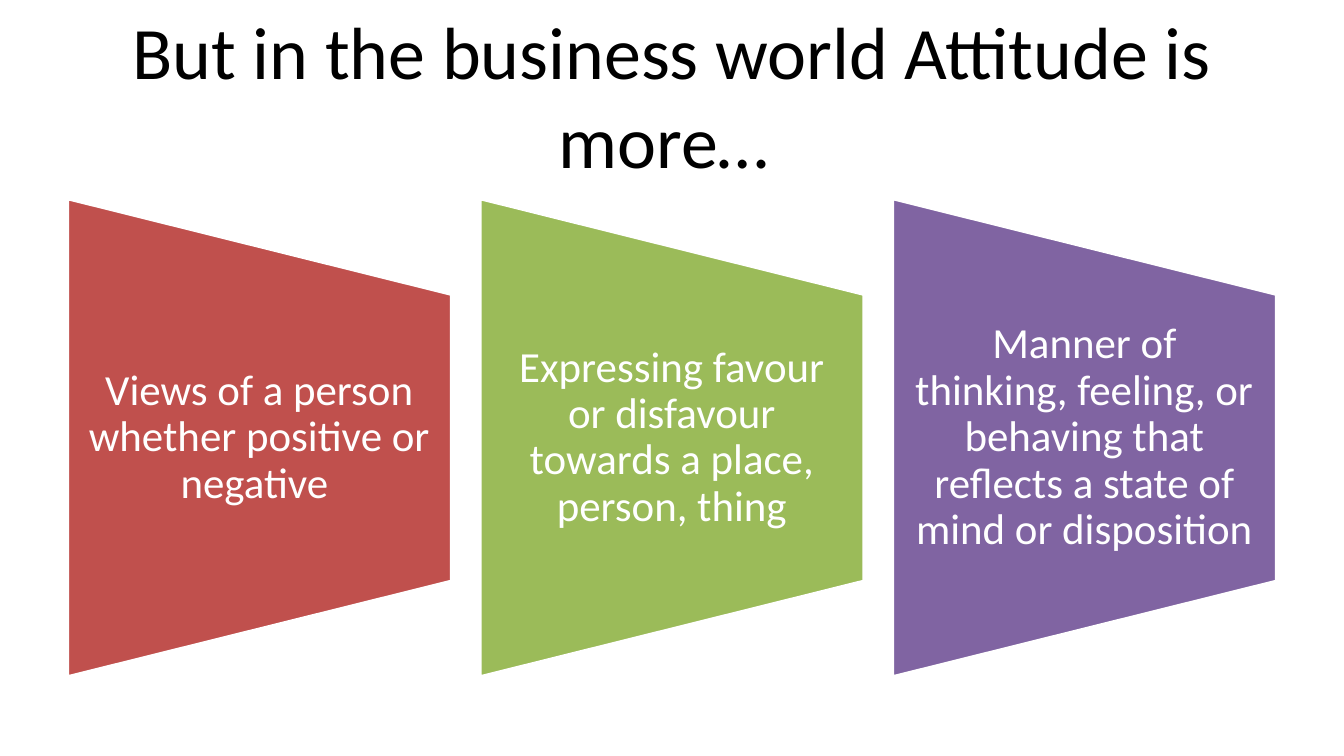
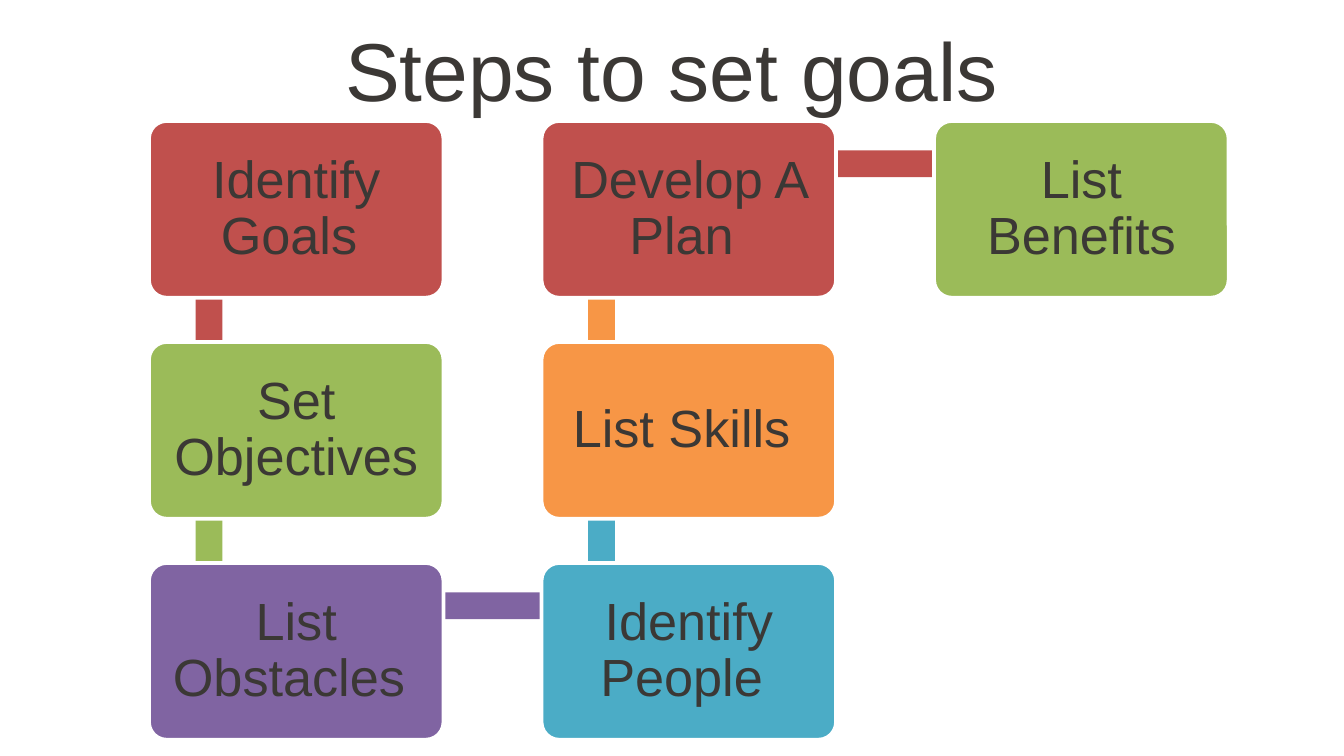
from dataclasses import dataclass
from pptx import Presentation
from pptx.dml.color import RGBColor
from pptx.enum.shapes import MSO_SHAPE
from pptx.enum.text import MSO_ANCHOR, PP_ALIGN
from pptx.util import Pt


@dataclass(frozen=True)
class Theme:
    red: str = "C0504D"
    green: str = "9BBB59"
    purple: str = "8064A2"
    teal: str = "4BACC6"
    orange: str = "F79646"
    white: str = "FFFFFF"
    black: str = "000000"
    dark: str = "3B3835"
    title_font: str = "Calibri"
    step_font: str = "Arial"
    attitude_title: float = 39.6
    steps_title: float = 44
    view_size: float = 23
    step_size: float = 28
    outline: float = 2


THEME = Theme()

ATTITUDE_TITLE = "But in the business world Attitude is more… "
VIEWS = [
    ("Views of a person whether positive or negative ", THEME.red),
    ("Expressing favour or disfavour towards a place, person, thing", THEME.green),
    ("Manner of thinking, feeling, or behaving that reflects a state of mind or disposition",
     THEME.purple),
]

STEPS_TITLE = "Steps to set goals"
STEPS = [
    ("Identify Goals ", THEME.red, 0, 0),
    ("Set Objectives ", THEME.green, 0, 1),
    ("List Obstacles ", THEME.purple, 0, 2),
    ("Identify People ", THEME.teal, 1, 2),
    ("List Skills ", THEME.orange, 1, 1),
    ("Develop A Plan ", THEME.red, 1, 0),
    ("List Benefits", THEME.green, 2, 0),
]

VIEW_LEFT, VIEW_TOP, VIEW_PITCH = 36, 106.2, 221
VIEW_WIDTH, VIEW_HEIGHT = 206, 256.6
STEP_LEFT, STEP_TOP = 79.8, 64.8
STEP_WIDTH, STEP_HEIGHT = 157.8, 94.7
COLUMN_PITCH, ROW_PITCH = 210.3, 118.4
LINK_X, LINK_Y, LINK_THICKNESS = 32.2, 23, 14.4


def write(shape, text, font, size, color, insets, spacing=1.0):
    frame = shape.text_frame
    frame.word_wrap = True
    frame.vertical_anchor = MSO_ANCHOR.MIDDLE
    frame.margin_left = frame.margin_right = Pt(insets[0])
    frame.margin_top = frame.margin_bottom = Pt(insets[1])
    para = frame.paragraphs[0]
    para.text = text
    para.alignment = PP_ALIGN.CENTER
    para.line_spacing = spacing
    para.font.name = font
    para.font.size = Pt(size)
    para.font.color.rgb = RGBColor.from_string(color)


def add_text(page, bounds, *style):
    write(page.shapes.add_textbox(*map(Pt, bounds)), *style)


def add_title(page, text, top, font, size, color):
    add_text(page, (36, top, 648, 67.6), text, font, size, color, (7.2, 3.6))


def add_block(page, kind, bounds, fill, outlined=True):
    block = page.shapes.add_shape(kind, *map(Pt, bounds))
    block.shadow.inherit = False
    block.fill.solid()
    block.fill.fore_color.rgb = RGBColor.from_string(fill)
    if outlined:
        block.line.color.rgb = RGBColor.from_string(THEME.white)
        block.line.width = Pt(THEME.outline)
    else:
        block.line.fill.background()
    return block


def add_view(page, index, text, color):
    left = VIEW_LEFT + index * VIEW_PITCH
    turn = (VIEW_HEIGHT - VIEW_WIDTH) / 2
    bounds = (left - turn, VIEW_TOP + turn, VIEW_HEIGHT, VIEW_WIDTH)
    block = add_block(page, MSO_SHAPE.FLOWCHART_MANUAL_OPERATION, bounds, color)
    block.rotation = 270
    text_bounds = (left, VIEW_TOP + VIEW_HEIGHT / 5, VIEW_WIDTH, VIEW_HEIGHT * 3 / 5)
    add_text(page, text_bounds, text, THEME.title_font, THEME.view_size,
             THEME.white, (11.5, 0), 0.9)


def step_corner(column, row):
    return STEP_LEFT + column * COLUMN_PITCH, STEP_TOP + row * ROW_PITCH


def add_link(page, step, following):
    (x1, y1), (x2, y2) = step_corner(*step[2:]), step_corner(*following[2:])
    left, top = min(x1, x2) + LINK_X, min(y1, y2) + LINK_Y
    half = LINK_THICKNESS / 2
    if x1 == x2:
        bounds = (left - half, top, LINK_THICKNESS, abs(y2 - y1))
    else:
        bounds = (left, top - half, abs(x2 - x1), LINK_THICKNESS)
    add_block(page, MSO_SHAPE.RECTANGLE, bounds, step[1], outlined=False)


def add_step(page, text, color, column, row):
    bounds = (*step_corner(column, row), STEP_WIDTH, STEP_HEIGHT)
    box = add_block(page, MSO_SHAPE.ROUNDED_RECTANGLE, bounds, color)
    box.adjustments[0] = 0.1
    write(box, text, THEME.step_font, THEME.step_size, THEME.dark, (8.4, 8.4), 0.9)


def build_attitude(page):
    add_title(page, ATTITUDE_TITLE, 16.6, THEME.title_font, THEME.attitude_title, THEME.black)
    for index, (text, color) in enumerate(VIEWS):
        add_view(page, index, text, color)


def build_steps(page):
    add_title(page, STEPS_TITLE, 2.9, THEME.step_font, THEME.steps_title, THEME.dark)
    for step, following in zip(STEPS, STEPS[1:] + [None]):
        if following:
            add_link(page, step, following)
        add_step(page, *step)


def main():
    deck = Presentation()
    deck.slide_width, deck.slide_height = Pt(720), Pt(405)
    for build in (build_attitude, build_steps):
        build(deck.slides.add_slide(deck.slide_layouts[6]))
    deck.save("out.pptx")


if __name__ == "__main__":
    main()
